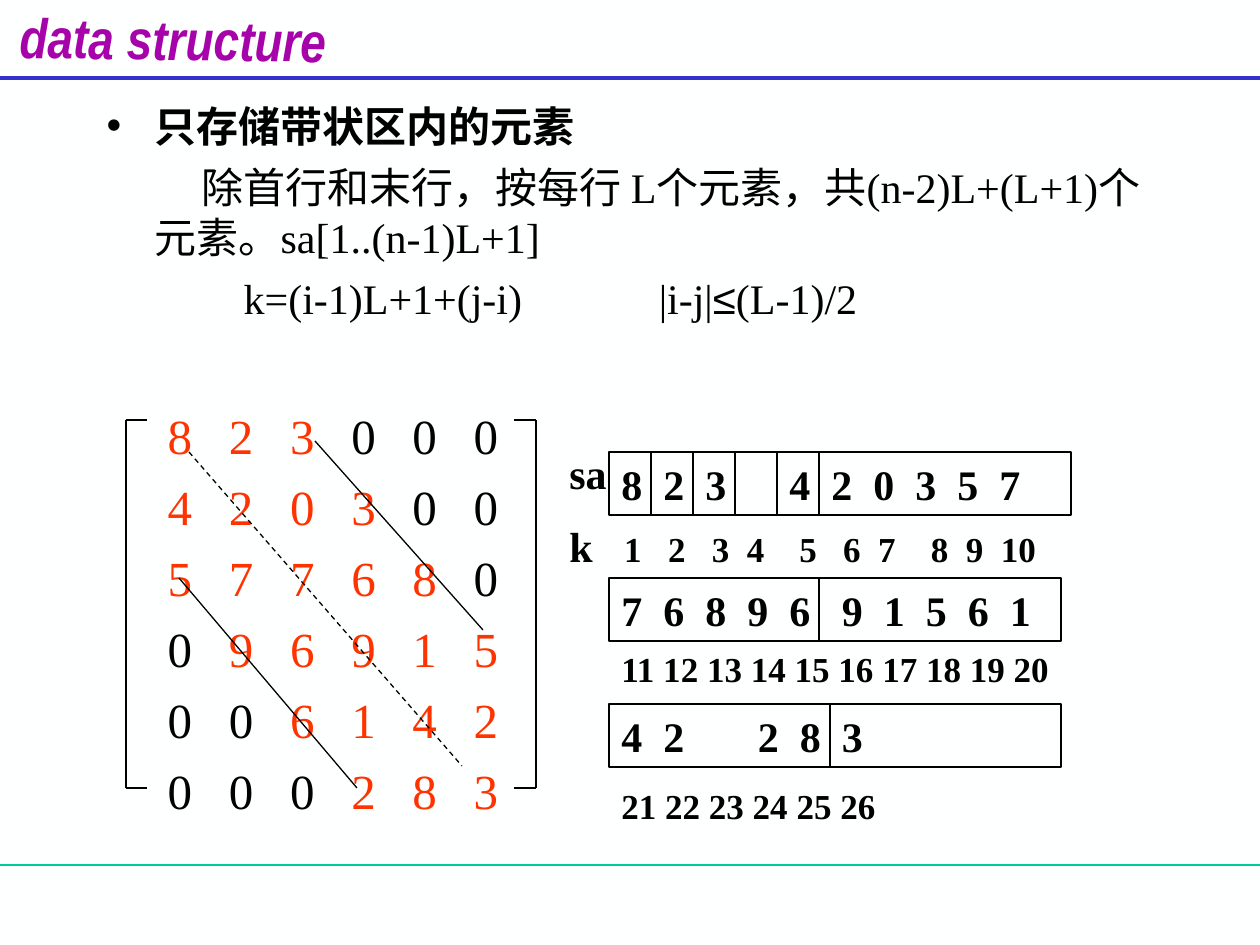
from lxml.etree import SubElement
from pptx import Presentation
from pptx.dml.color import RGBColor
from pptx.enum.dml import MSO_LINE
from pptx.enum.shapes import MSO_CONNECTOR, MSO_SHAPE
from pptx.enum.text import MSO_ANCHOR, MSO_AUTO_SIZE, PP_ALIGN
from pptx.oxml.ns import qn
from pptx.util import Emu, Pt

PX = 914400 // 126
BLACK, RED = "000000", "FF3300"


def write(paragraph, *parts, size=24, bold=False, italic=False, font="Times New Roman",
          color=BLACK, before=0, margin=0, first=0, bullet=False):
    """Add runs: a text, a (text, changes) pair, or a number for a gap in space widths."""
    paragraph.alignment = PP_ALIGN.LEFT
    paragraph.space_before = Pt(before)
    properties = paragraph._p.get_or_add_pPr()
    properties.set("marL", str(margin * PX))
    properties.set("indent", str(first * PX))
    if not bullet:
        SubElement(properties, qn("a:buNone"))
    for part in parts:
        text, changes = part if isinstance(part, tuple) else (part, {})
        run = paragraph.add_run()
        run.text = " " if isinstance(text, int) else text
        run.font.name = changes.get("font", font)
        run.font.size = Pt(changes.get("size", size))
        run.font.bold, run.font.italic = bold, italic
        run.font.color.rgb = RGBColor.from_string(changes.get("color", color))
        if isinstance(text, int):
            # A space is a quarter em wide; letter spacing supplies the rest
            spacing = (text - 1) * changes.get("size", size) * 25
            run.font._element.set("spc", str(spacing))


def add_line(x1, y1, x2, y2, color=BLACK, width=0.75, dash=None):
    line = slide.shapes.add_connector(
        MSO_CONNECTOR.STRAIGHT, *[Emu(value * PX) for value in (x1, y1, x2, y2)])
    line.line.color.rgb = RGBColor.from_string(color)
    line.line.width = Pt(width)
    line.line.dash_style = dash
    SubElement(line._element.spPr, qn("a:effectLst"))


presentation = Presentation()
presentation.slide_width, presentation.slide_height = Emu(1260 * PX), Emu(945 * PX)
slide = presentation.slides.add_slide(presentation.slide_layouts[1])
slide.background.fill.solid()
slide.background.fill.fore_color.rgb = RGBColor.from_string("FEFFFF")

# Header and footer rules
add_line(0, 865, 1260, 865, "00CC99")
add_line(0, 78, 1260, 78, "3333CC", 2.25)

# Title and body placeholders
title, body = slide.shapes.title, slide.placeholders[1]
for shape, box in ((title, (7, 4, 332, 68)), (body, (94, 94, 1071, 756))):
    shape.left, shape.top, shape.width, shape.height = [Emu(value * PX) for value in box]
    shape.text_frame.auto_size = MSO_AUTO_SIZE.NONE
title.rotation = 0.8
title.text_frame.word_wrap = False
title.text_frame.vertical_anchor = MSO_ANCHOR.MIDDLE
write(title.text_frame.paragraphs[0], "data structure", size=32, bold=True, italic=True,
      font="Arial Narrow", color="A603AB")

# Explanation and index formula
frame = body.text_frame
frame.vertical_anchor = MSO_ANCHOR.TOP
write(frame.paragraphs[0], "只存储带状区内的元素", bold=True, before=6,
      margin=48, first=-48, bullet=True)
write(frame.add_paragraph(), "除首行和末行，按每行 L个元素，共(n-2)L+(L+1)个元素。sa[1..(n-1)L+1]",
      before=6, margin=48, first=47)
write(frame.add_paragraph(), "k=(i-1)L+1+(j-i)", 13, "|i-j|", ("≤", {"font": "Arial"}),
      "(L-1)/2", before=6, margin=137)

# Band matrix: entries within two columns of the diagonal are red
matrix = ["823000", "420300", "577680", "096915", "006142", "000283"]
for i, row in enumerate(matrix):
    cells = []
    for j, value in enumerate(row):
        cells += [3] if j else []
        cells.append((value, {"color": RED if abs(i - j) <= 2 else BLACK}))
    write(frame.add_paragraph(), *cells, size=28, before=7 if i else 47, margin=61)

# Matrix brackets
for x, tip in ((126, 147), (536, 514)):
    add_line(x, 420, x, 788)
    for y in (420, 788):
        add_line(x, y, tip, y)

# Band edges and main diagonal
add_line(315, 441, 483, 630)
add_line(179, 578, 357, 788)
add_line(189, 452, 462, 766, dash=MSO_LINE.DASH)

# Storage array: top, width, values with wide gaps between groups, separators
storage = [
    (452, 462, ("823", 6, "420357"), (651, 693, 735, 777, 819)),
    (578, 452, ("76896", 3, "91561"), (819,)),
    (704, 452, ("42", 7, "283"), (830,)),
]
storage[0] = (452, 462, ("823", 6, "420357"), (651, 693, 735, 777, 819))
for top, width, (left_group, wide_gap, right_group), separators in storage:
    shape = slide.shapes.add_shape(
        MSO_SHAPE.RECTANGLE, *[Emu(value * PX) for value in (609, top, width, 63)])
    shape.shadow.inherit = False
    shape.fill.background()
    shape.line.color.rgb = RGBColor.from_string(BLACK)
    shape.line.width = Pt(0.75)
    shape.text_frame.vertical_anchor = MSO_ANCHOR.TOP
    values = [left_group[0]]
    for value in left_group[1:]:
        values += [2, value]
    values += [wide_gap, right_group[0]]
    for value in right_group[1:]:
        values += [2, value]
    write(shape.text_frame.paragraphs[0], *values, bold=True)
    for x in separators:
        add_line(x, top, x, top + 63)

# Array name and index labels
indices = ["1"]
for k, gap in enumerate((3, 3, 2, 4, 3, 2, 4, 2, 2), start=2):
    indices += [gap, str(k)]
labels = [
    ((557, 441, 63, 63), ["sa"], 24),
    ((557, 514, 514, 63), [("k", {"size": 24}), (3, {"size": 24}), *indices], 20),
    ((609, 641, 462, 55), [" ".join(str(k) for k in range(11, 21))], 20),
    ((609, 778, 305, 55), [" ".join(str(k) for k in range(21, 27))], 20),
]
for box, parts, size in labels:
    label = slide.shapes.add_textbox(*[Emu(value * PX) for value in box])
    label.text_frame.word_wrap = True
    write(label.text_frame.paragraphs[0], *parts, size=size, bold=True)

presentation.save("out.pptx")
